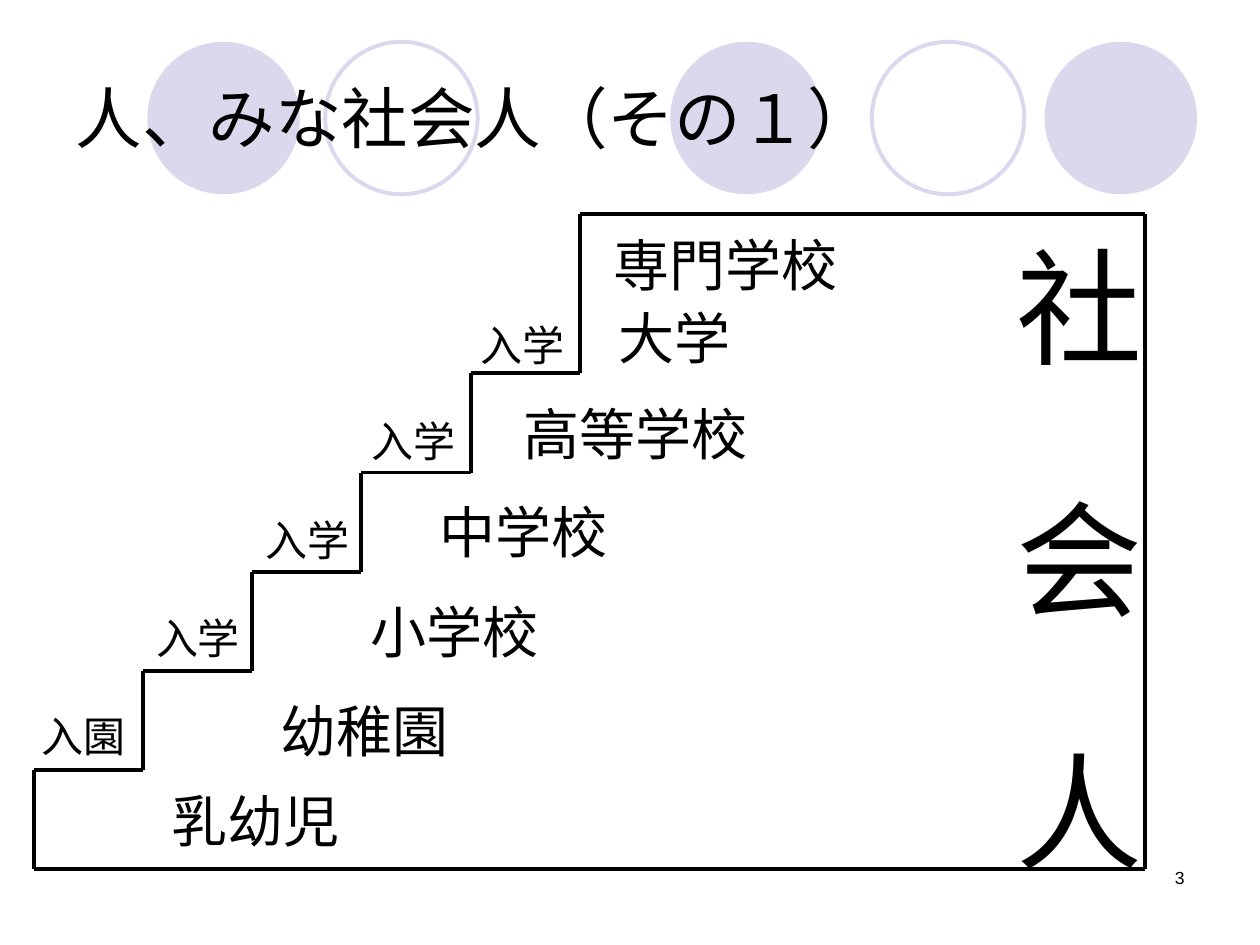
"""Build a staircase slide that leads from infancy through school to society."""
from dataclasses import dataclass
from itertools import pairwise

from lxml import etree
from pptx import Presentation
from pptx.dml.color import RGBColor
from pptx.enum import shapes, text
from pptx.oxml import ns
from pptx.slide import Slide
from pptx.util import Pt

COLORS = {"ink": "000000", "circle": "D9D8EC", "paper": "FFFFFF"}
FONT = "Arial"
LINE_WIDTH = 2.25

CIRCLE_SIZE = 87.1
CIRCLE_TOP = 23.9

LEFT, RIGHT = 19.5, 654.5
TOP, FLOOR = 122.4, 496.8
STEPS, RUN, RISE = 5, 62.35, 56.7


@dataclass(frozen=True)
class Circle:
    left: float
    filled: bool


@dataclass(frozen=True)
class Label:
    words: str
    left: float
    top: float
    width: float
    height: float
    size: float
    vertical: bool = False
    wrap: bool = False
    alignment: text.PP_ALIGN = text.PP_ALIGN.LEFT


CIRCLES = [
    Circle(383, True),
    Circle(596.9, True),
    Circle(84.2, True),
    Circle(498.2, False),
    Circle(185.8, False),
]


def entry(words: str, left: float, top: float) -> Label:
    """Describe the small label standing on a step."""
    return Label(words, left, top, 62.2, 36.3, 24)


def stage(words: str, left: float, top: float) -> Label:
    """Describe the large label naming a stage of life."""
    return Label(words, left, top, 14.4 + 32 * len(words), 46.1, 32)


LABELS = [
    Label("3", 516.2, 491.8, 167.8, 36, 10, wrap=True, alignment=text.PP_ALIGN.RIGHT),
    entry("入園", 16.6, 402.5),
    entry("入学", 82.1, 346.3),
    entry("入学", 144.7, 290.2),
    entry("入学", 205.2, 234),
    entry("入学", 267.8, 179.3),
    stage("乳幼児", 90.7, 445.7),
    stage("幼稚園", 153.4, 394.6),
    stage("小学校", 204.5, 337.7),
    stage("中学校", 244.1, 280.8),
    stage("高等学校", 292.3, 224.6),
    stage("大学", 346.3, 169.9),
    stage("専門学校", 343.4, 128.2),
    Label("社　会　人", 560.2, 132.5, 100.8, 367.2, 72, vertical=True),
]


def color(name: str) -> RGBColor:
    """Look up a named colour."""
    return RGBColor.from_string(COLORS[name])


def write(paragraph, words: str, size: float) -> None:
    """Add one formatted run to a paragraph."""
    run = paragraph.add_run()
    run.text = words
    run.font.name = FONT
    run.font.size = Pt(size)
    run.font.color.rgb = color("ink")


def draw_circle(slide: Slide, circle: Circle) -> None:
    """Draw a filled or outlined circle of the header band."""
    shape = slide.shapes.add_shape(
        shapes.MSO_SHAPE.OVAL, Pt(circle.left), Pt(CIRCLE_TOP), Pt(CIRCLE_SIZE), Pt(CIRCLE_SIZE)
    )
    shape.shadow.inherit = False
    if circle.filled:
        shape.fill.solid()
        shape.fill.fore_color.rgb = color("circle")
        shape.line.fill.background()
    else:
        shape.fill.background()
        shape.line.color.rgb = color("circle")
        shape.line.width = Pt(LINE_WIDTH)


def place_title(slide: Slide, words: str) -> None:
    """Fill the title placeholder and bring it in front of the circles."""
    title = slide.shapes.title
    title.left, title.top, title.width, title.height = Pt(36), Pt(21.6), Pt(648), Pt(90)
    frame = title.text_frame
    frame.auto_size = text.MSO_AUTO_SIZE.NONE
    frame.vertical_anchor = text.MSO_ANCHOR.MIDDLE
    paragraph = frame.paragraphs[0]
    paragraph.alignment = text.PP_ALIGN.LEFT
    write(paragraph, words, 38)
    title.element.getparent().append(title.element)


def draw_line(slide: Slide, start: tuple[float, float], end: tuple[float, float]) -> None:
    """Draw one straight segment of the staircase outline."""
    line = slide.shapes.add_connector(
        shapes.MSO_CONNECTOR.STRAIGHT, *(Pt(value) for value in (*start, *end))
    )
    line.line.color.rgb = color("ink")
    line.line.width = Pt(LINE_WIDTH)
    etree.SubElement(line.element.spPr, ns.qn("a:effectLst"))


def draw_staircase(slide: Slide) -> None:
    """Draw the closed staircase outline from its corners."""
    corners = [(RIGHT, FLOOR), (LEFT, FLOOR)]
    for step in range(STEPS):
        height = FLOOR - (step + 1) * RISE
        corners += [(LEFT + step * RUN, height), (LEFT + (step + 1) * RUN, height)]
    corners += [(LEFT + STEPS * RUN, TOP), (RIGHT, TOP), (RIGHT, FLOOR)]
    for start, end in pairwise(corners):
        draw_line(slide, start, end)


def draw_label(slide: Slide, label: Label) -> None:
    """Draw a text box, horizontal or vertical."""
    shape = slide.shapes.add_textbox(
        Pt(label.left), Pt(label.top), Pt(label.width), Pt(label.height)
    )
    frame = shape.text_frame
    frame.word_wrap = label.wrap
    across, along = (3.6, 7.2) if label.vertical else (7.2, 3.6)
    frame.margin_left = frame.margin_right = Pt(across)
    frame.margin_top = frame.margin_bottom = Pt(along)
    if label.vertical:
        shape.element.txBody.bodyPr.set("vert", "eaVert")
    if not label.wrap:
        frame.auto_size = text.MSO_AUTO_SIZE.SHAPE_TO_FIT_TEXT
    paragraph = frame.paragraphs[0]
    paragraph.alignment = label.alignment
    write(paragraph, label.words, label.size)


def main() -> None:
    """Assemble and save the presentation."""
    presentation = Presentation()
    presentation.slide_width, presentation.slide_height = Pt(720), Pt(540)
    slide = presentation.slides.add_slide(presentation.slide_layouts[5])
    slide.background.fill.solid()
    slide.background.fill.fore_color.rgb = color("paper")
    for circle in CIRCLES:
        draw_circle(slide, circle)
    place_title(slide, "人、みな社会人（その１）")
    draw_staircase(slide)
    for label in LABELS:
        draw_label(slide, label)
    presentation.save("out.pptx")


if __name__ == "__main__":
    main()
